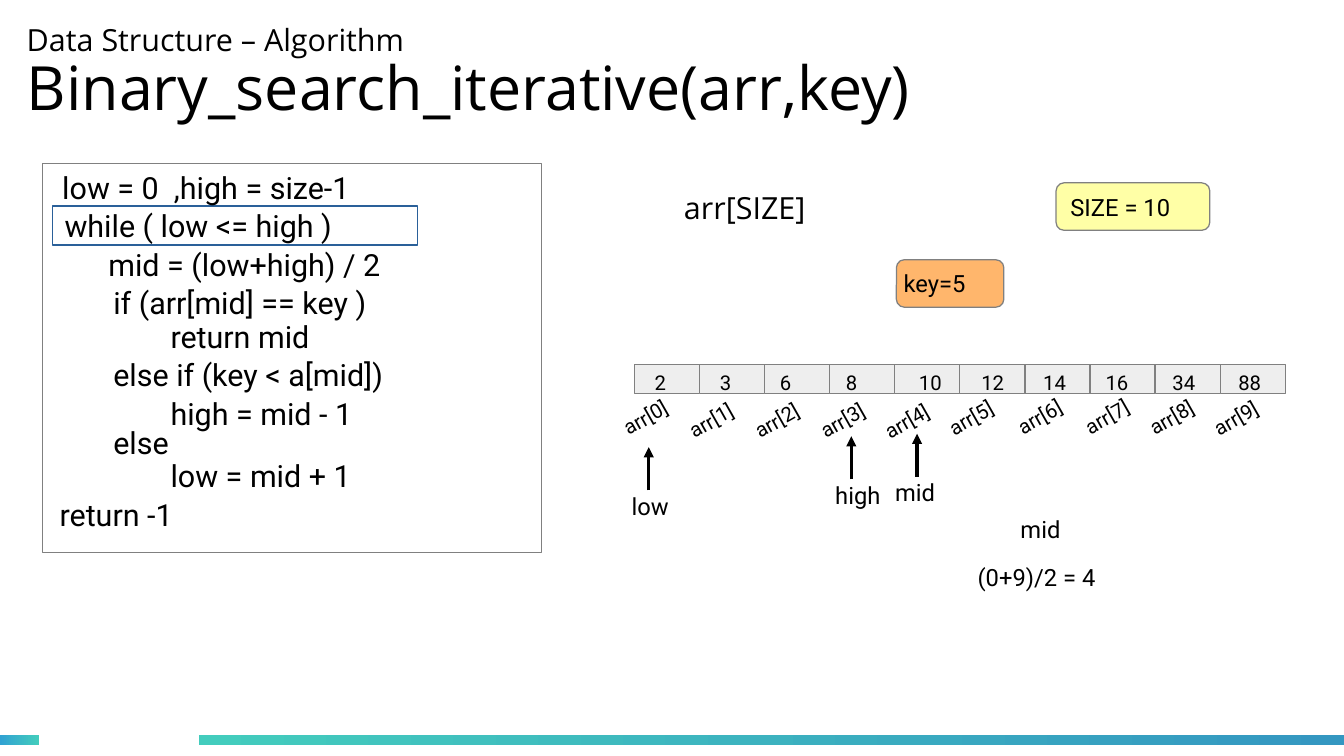
import pptx
import pptx.dml.color
import pptx.enum.shapes
import pptx.enum.text
import pptx.oxml
import pptx.oxml.ns
import pptx.util

Pt = pptx.util.Pt
RGBColor = pptx.dml.color.RGBColor
SHAPES = pptx.enum.shapes.MSO_SHAPE
ANCHOR = pptx.enum.text.MSO_ANCHOR

BLACK = RGBColor(0x00, 0x00, 0x00)
WHITE = RGBColor(0xFF, 0xFF, 0xFF)
GRAY = RGBColor(0x80, 0x80, 0x80)
CELL_GRAY = RGBColor(0xEE, 0xEE, 0xEE)
HIGHLIGHT_BLUE = RGBColor(0x2A, 0x60, 0x99)
YELLOW = RGBColor(0xFF, 0xFF, 0xA6)
ORANGE = RGBColor(0xFF, 0xB6, 0x6C)
TEAL = RGBColor(0x43, 0xCC, 0xBD)
SKY = RGBColor(0x30, 0xA2, 0xD2)
OCEAN = RGBColor(0x34, 0x97, 0xC1)

CODE = [
    (0, 0, " low = 0  ,high = size-1"),
    (5.8, 22.3, "while ( low <= high )"),
    (31.7, 45.4, "mid = (low+high) / 2"),
    (34.6, 67.7, "if (arr[mid] == key )"),
    (68.4, 87.8, "return mid"),
    (34.6, 110.2, "else if (key < a[mid])"),
    (68.4, 133.2, "high = mid - 1"),
    (34.6, 150.5, "else"),
    (68.4, 169.9, "low = mid + 1"),
    (2.9, 193, "return -1"),
]

ARRAY = [
    (2, 5, -14.4, 18, 50.4),
    (3, 5, -14, 20, 49.7),
    (6, 2, -13.7, 20, 49.7),
    (8, 2.6, -13.3, 20, 49.7),
    (10, 7.2, -13.7, 20.9, 48.2),
    (12, 5.6, -14.7, 17.3, 54.7),
    (14, 3.7, -12.8, 15.8, 58.3),
    (16, 2, -11, 18, 49),
    (34, 3.1, -11.4, 18, 50.4),
    (88, 3.5, -12.4, 16.5, 58.3),
]

POINTERS = [
    ("low", -8.6, 71.3, 17.2),
    ("high", 111.6, 64.8, 16.6),
    ("mid", 146.9, 63.3, 20.1),
]


def add_run(paragraph, text, size, font):
    run = paragraph.add_run()
    run.text = text
    run.font.size = Pt(size)
    run.font.name = font
    run.font.color.rgb = BLACK


def add_text(slide, box, text, size, font="Roboto"):
    shape = slide.shapes.add_textbox(*map(Pt, box))
    shape.text_frame.word_wrap = True
    add_run(shape.text_frame.paragraphs[0], text, size, font)
    return shape


def add_box(slide, box, fill, line, kind=SHAPES.RECTANGLE):
    shape = slide.shapes.add_shape(kind, *map(Pt, box))
    shape.shadow.inherit = False
    shape.fill.solid()
    shape.fill.fore_color.rgb = fill
    shape.line.color.rgb = line
    shape.line.width = Pt(0)
    return shape


def add_arrow(slide, x, bottom, top):
    arrow = slide.shapes.add_connector(
        pptx.enum.shapes.MSO_CONNECTOR.STRAIGHT, Pt(x), Pt(bottom), Pt(x), Pt(top))
    arrow.line.color.rgb = BLACK
    arrow.line.width = Pt(0)
    qualified = pptx.oxml.ns.qn
    line = arrow.line._get_or_add_ln()
    line.append(line.makeelement(qualified("a:tailEnd"), {"type": "triangle"}))
    properties = arrow._element.spPr
    properties.append(properties.makeelement(qualified("a:effectLst"), {}))


def add_footer_bar(slide, box, start, end):
    bar = slide.shapes.add_shape(SHAPES.RECTANGLE, *map(Pt, box))
    bar.shadow.inherit = False
    bar.line.fill.background()
    bar.fill.gradient()
    bar.fill.gradient_angle = 0
    for stop, color in zip(bar.fill.gradient_stops, (start, end)):
        stop.color.rgb = color


def add_title(slide, box):
    frame = slide.shapes.add_textbox(*map(Pt, box)).text_frame
    frame.word_wrap = True
    frame.vertical_anchor = ANCHOR.MIDDLE
    frame.margin_left = frame.margin_right = frame.margin_top = frame.margin_bottom = 0
    paragraph = frame.paragraphs[0]
    paragraph.line_spacing = 0.9
    add_run(paragraph, "Data Structure – Algorithm", 18, "Open Sans")
    paragraph.add_line_break()
    add_run(paragraph, "Binary_search_iterative(arr,key)", 36, "Open Sans")


def add_badge(slide, box, text, fill, inset):
    badge = add_box(slide, box, fill, GRAY, SHAPES.ROUNDED_RECTANGLE)
    frame = badge.text_frame
    frame.margin_left = Pt(inset)
    frame.margin_right = frame.margin_top = frame.margin_bottom = 0
    frame.vertical_anchor = ANCHOR.MIDDLE
    paragraph = frame.paragraphs[0]
    paragraph.alignment = pptx.enum.text.PP_ALIGN.LEFT
    add_run(paragraph, text, 14, "Roboto")


def add_code_panel(slide, box):
    left, top, width, height = box
    add_box(slide, box, WHITE, GRAY)
    add_box(slide, (left + 5.8, top + 25.2, 215.3, 23), WHITE, HIGHLIGHT_BLUE)
    for indent, offset, text in CODE:
        add_text(slide, (left + indent, top + offset, width - indent, 31.7), text, 18)


def add_array(slide, box):
    left, top, width, height = box
    pitch = width / len(ARRAY)
    for index, (value, value_shift, shift, drop, label_width) in enumerate(ARRAY):
        x = left + index * pitch
        add_box(slide, (x, top, pitch, height), CELL_GRAY, GRAY)
        add_text(slide, (x + value_shift, top, 32, 24), str(value), 12)
        label = add_text(slide, (x + shift, top + drop, label_width, 24), f"arr[{index}]", 12)
        label.rotation = 330.4
    for name, shift, drop, stem in POINTERS:
        x, y = left + shift, top + drop
        add_text(slide, (x, y, 48, 27), name, 14)
        add_arrow(slide, x + stem, y + 3, y - 22.5)


def main():
    presentation = pptx.Presentation()
    presentation.slide_width = Pt(793.44)
    presentation.slide_height = Pt(446.4)
    slide = presentation.slides.add_slide(presentation.slide_layouts[6])
    add_footer_bar(slide, (0, 434.2, 23, 5.8), SKY, TEAL)
    add_footer_bar(slide, (117.4, 434.2, 676, 5.8), TEAL, OCEAN)
    add_title(slide, (15.8, -9.4, 749.5, 107))
    add_text(slide, (396.7, 108, 102.2, 31.7), "arr[SIZE]", 18, "Open Sans")
    add_badge(slide, (623.5, 108, 90.7, 28), "SIZE = 10", YELLOW, 7.2)
    add_badge(slide, (529.2, 153.4, 63.4, 28), "key=5", ORANGE, 2.9)
    add_code_panel(slide, (25.2, 96.5, 294.5, 229.7))
    add_array(slide, (374.4, 215.3, 384.5, 17.3))
    add_text(slide, (595.4, 300.2, 45.4, 28), "mid", 14)
    add_text(slide, (566.6, 329, 102.2, 28), " (0+9)/2 = 4", 14)
    presentation.save("out.pptx")


if __name__ == "__main__":
    main()
